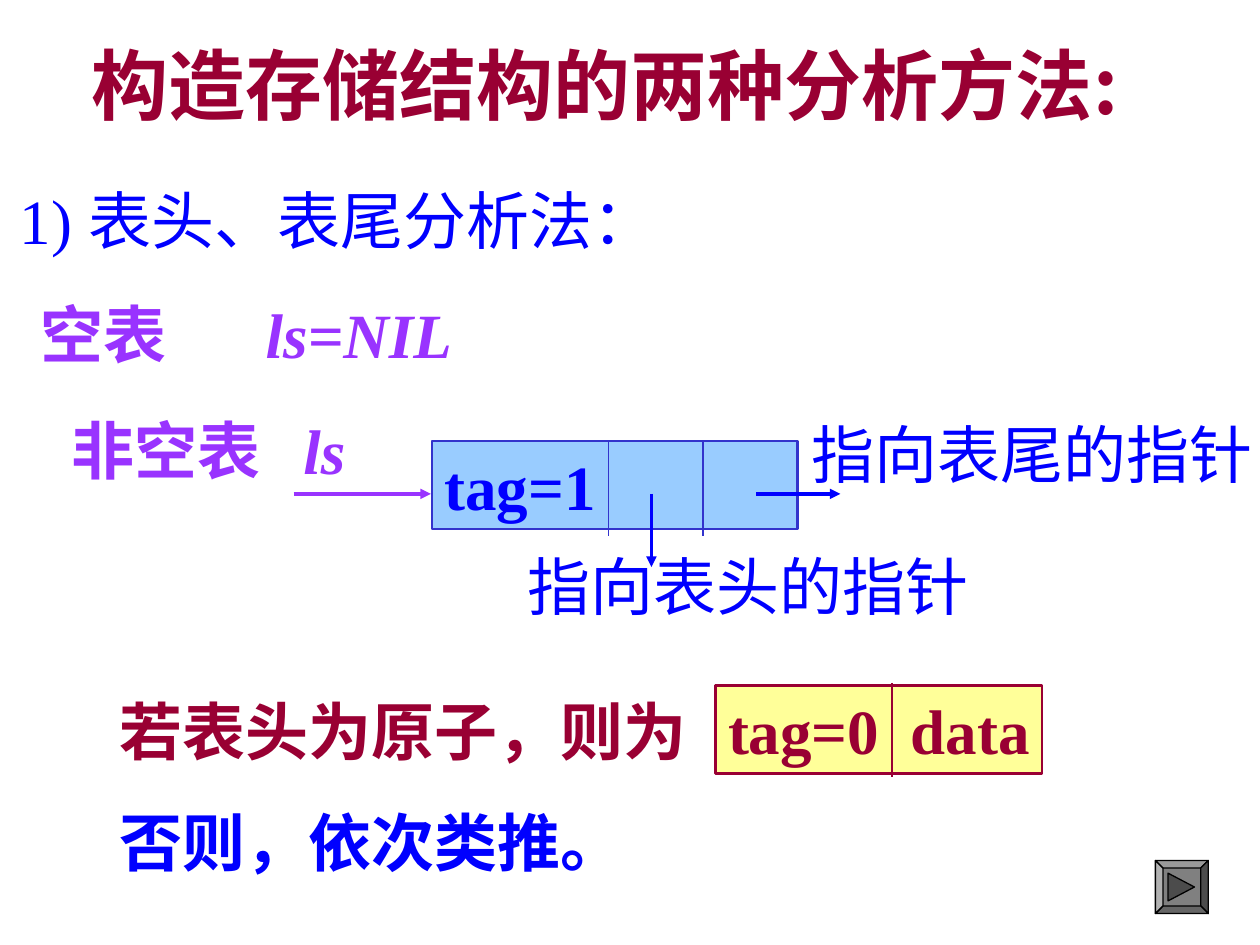
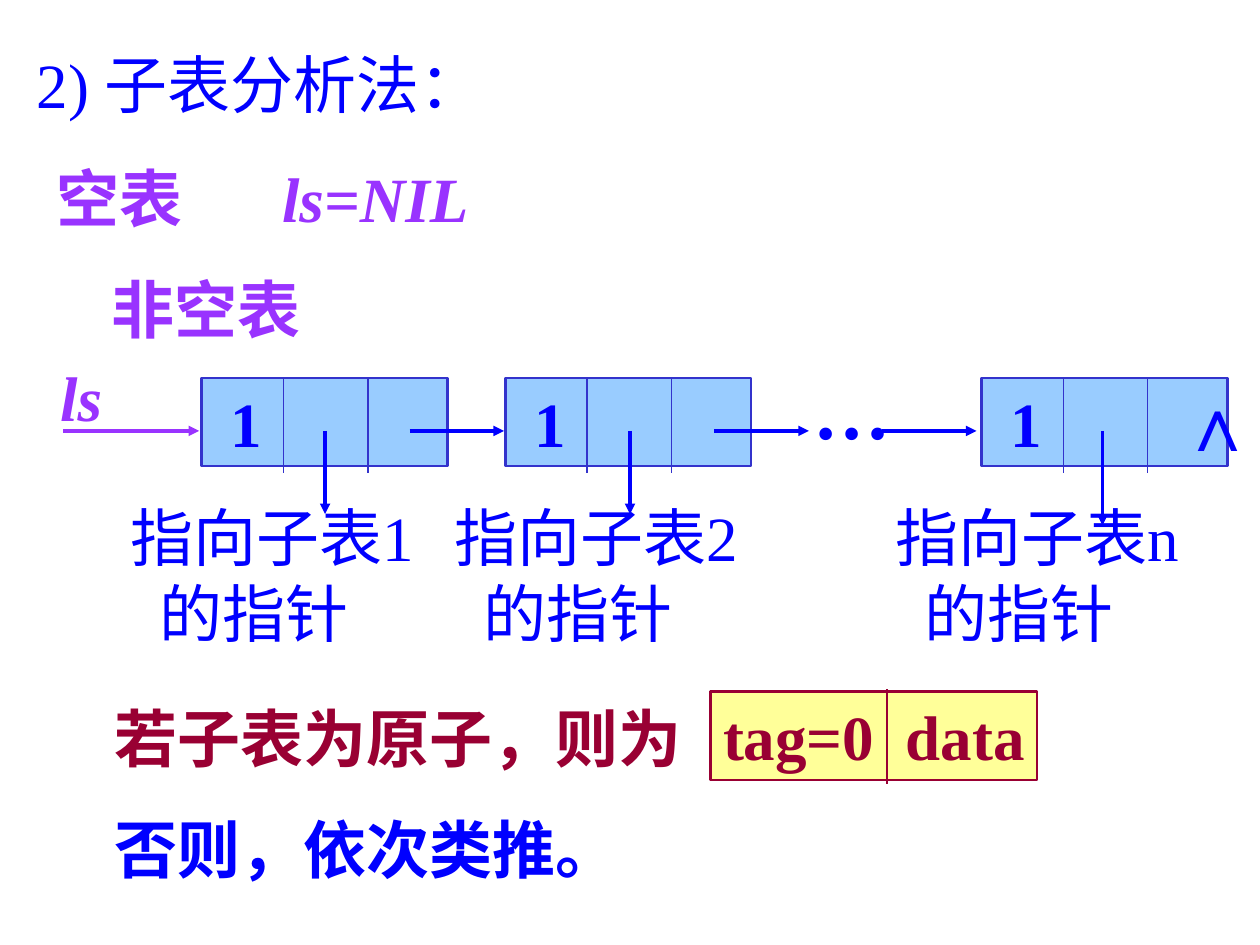
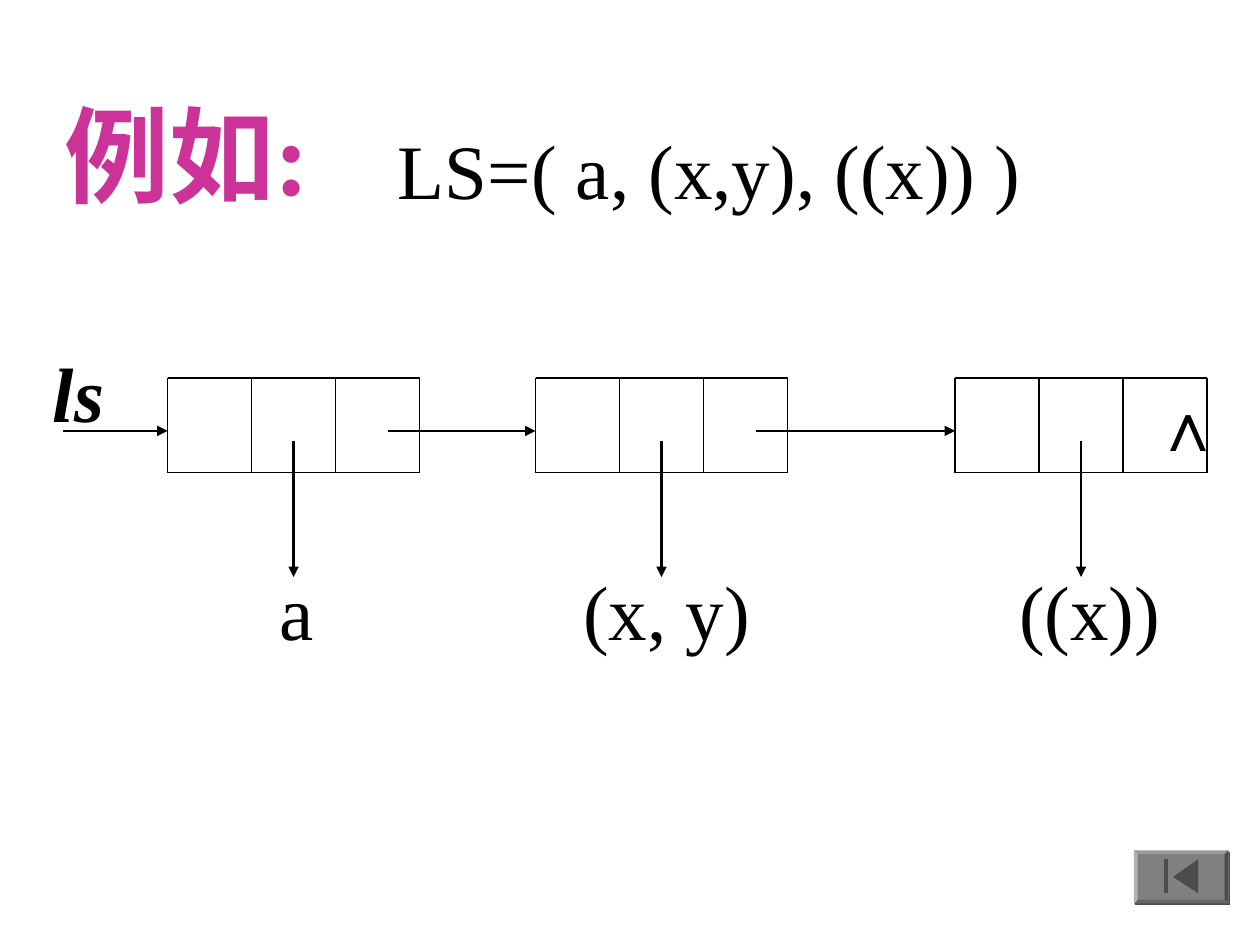
"""Builds three slides on the storage of generalized lists."""
from dataclasses import dataclass
from typing import Any

from pptx import Presentation
from pptx.dml.color import RGBColor
from pptx.enum.shapes import MSO_CONNECTOR as Link, MSO_SHAPE as Kind
from pptx.enum.text import MSO_ANCHOR as Anchor, MSO_AUTO_SIZE as Fit, PP_ALIGN as Align
from pptx.oxml.xmlchemy import OxmlElement as Element
from pptx.util import Inches, Pt

TIMES, NOTO, ARIAL = "Times New Roman", "Noto Sans CJK SC", "Arial"
BLUE, PURPLE, RED, PINK, BLACK = "0000FF", "9933FF", "990033", "CC3399", "000000"
SKY, NAVY, YELLOW = "99CCFF", "3333CC", "FFFF99"
GREY, DARK = "808080", "4C4C4C"
FACETS = ("999999", DARK, "666666", "B2B2B2")

Points = list[tuple[float, float]]


@dataclass(frozen=True)
class Text:
    """Words with their style; slant is an italic run at the end."""
    words: str
    color: str = BLUE
    size: int = 36
    font: str = TIMES
    bold: bool = False
    slant: str = ""
    tabs: tuple[float, ...] = ()
    space: float = 1.0
    hang: float = 0


@dataclass(frozen=True)
class Label:
    """A text box and its place."""
    left: float
    top: float
    width: float
    height: float
    text: Text


@dataclass(frozen=True)
class Line:
    """A straight line, with an arrowhead on request."""
    x: float
    y: float
    to_x: float
    to_y: float
    color: str = BLUE
    width: float = 2
    arrow: bool = True


@dataclass(frozen=True)
class Node:
    """A filled box, cut by upright lines at the given offsets."""
    left: float
    top: float
    width: float
    text: Text
    fill: str
    edge: str
    cuts: tuple[float, ...]
    inset: float = 0.1
    lift: float = 0


def rgb(color: str) -> RGBColor:
    """Turn a hex string into a colour."""
    return RGBColor.from_string(color)


def style(run: Any, text: Text) -> None:
    """Format one run."""
    font = run.font
    font.size, font.bold, font.name = Pt(text.size), text.bold, text.font
    font.color.rgb = rgb(text.color)
    east = Element("a:ea")
    east.set("typeface", NOTO)
    font._element.append(east)


def write(frame: Any, text: Text) -> None:
    """Put styled text into a frame, from its top left corner."""
    frame.text = text.words
    frame.vertical_anchor = Anchor.TOP
    for index, para in enumerate(frame.paragraphs):
        para.alignment = Align.LEFT
        para.line_spacing = text.space
        props = para._p.get_or_add_pPr()
        if index and text.hang:
            props.set("marL", str(Inches(text.hang)))
        if text.tabs:
            stops = Element("a:tabLst")
            for place in text.tabs:
                stop = Element("a:tab")
                stop.set("pos", str(Inches(place)))
                stop.set("algn", "l")
                stops.append(stop)
            props.append(stops)
        if text.slant:
            extra = para.add_run()
            extra.text = text.slant
            extra.font.italic = True
        for run in para.runs:
            style(run, text)


def fill_box(shape: Any, text: Text) -> None:
    """Write into a box that does not wrap."""
    write(shape.text_frame, text)
    shape.text_frame.word_wrap = False
    shape.text_frame.auto_size = Fit.SHAPE_TO_FIT_TEXT


def add_label(slide: Any, label: Label) -> None:
    """Draw a text box."""
    box = slide.shapes.add_textbox(Inches(label.left), Inches(label.top),
                                   Inches(label.width), Inches(label.height))
    fill_box(box, label.text)


def add_page(deck: Any, label: Label) -> Any:
    """Add a title-only slide and place its title."""
    slide = deck.slides.add_slide(deck.slide_layouts[5])
    title = slide.shapes.title
    title.left, title.top = Inches(label.left), Inches(label.top)
    title.width, title.height = Inches(label.width), Inches(label.height)
    fill_box(title, label.text)
    return slide


def add_line(slide: Any, line: Line) -> None:
    """Draw a line or an arrow."""
    link = slide.shapes.add_connector(Link.STRAIGHT, Inches(line.x), Inches(line.y),
                                      Inches(line.to_x), Inches(line.to_y))
    link.line.color.rgb = rgb(line.color)
    link.line.width = Pt(line.width)
    if line.arrow:
        tail = Element("a:tailEnd")
        tail.set("type", "triangle")
        link.line._get_or_add_ln().append(tail)
    link._element.spPr.append(Element("a:effectLst"))


def add_node(slide: Any, node: Node) -> None:
    """Draw a box with its cuts."""
    box = slide.shapes.add_shape(Kind.RECTANGLE, Inches(node.left), Inches(node.top),
                                 Inches(node.width), Inches(0.7))
    box.shadow.inherit = False
    box.fill.solid()
    box.fill.fore_color.rgb = rgb(node.fill)
    box.line.color.rgb = rgb(node.edge)
    box.line.width = Pt(1.5)
    frame = box.text_frame
    write(frame, node.text)
    frame.word_wrap = True
    frame.margin_left, frame.margin_right = Inches(node.inset), 0
    top = node.top - node.lift
    for cut in node.cuts:
        x = node.left + cut
        add_line(slide, Line(x, top, x, top + 0.75, node.edge, 0.75, False))


def add_grid(slide: Any, left: float, top: float) -> None:
    """Draw an open node of three cells."""
    width, height, cells = 2, 0.75, 3
    for step in range(cells + 1):
        x = left + width * step / cells
        add_line(slide, Line(x, top, x, top + height, BLACK, 0.75, False))
    for y in (top, top + height):
        add_line(slide, Line(left, y, left + width, y, BLACK, 0.75, False))


def add_patch(slide: Any, points: Points, fill: str, edge: str) -> None:
    """Draw a closed outline."""
    spots = [(Inches(x), Inches(y)) for x, y in points]
    maker = slide.shapes.build_freeform(*spots[0])
    maker.add_line_segments(spots[1:], close=True)
    patch = maker.convert_to_shape()
    patch.shadow.inherit = False
    patch.fill.solid()
    patch.fill.fore_color.rgb = rgb(fill)
    if edge:
        patch.line.color.rgb = rgb(edge)
        patch.line.width = Pt(0.75)
    else:
        patch.line.fill.background()


def corners(left: float, top: float, width: float, height: float) -> Points:
    """List the corners of a box, clockwise."""
    right, base = left + width, top + height
    return [(left, top), (right, top), (right, base), (left, base)]


def add_button(slide: Any, left: float, top: float, width: float, bevel: float,
               marks: list[Points], edge: str = "") -> None:
    """Draw a bevelled button with its marks."""
    height = 0.42
    outer = corners(left, top, width, height)
    inner = corners(left + bevel, top + bevel, width - 2 * bevel, height - 2 * bevel)
    if not edge:
        add_patch(slide, [(x + 0.01, y + 0.01) for x, y in outer], DARK, edge)
    add_patch(slide, outer, GREY, edge)
    for side, fill in enumerate(FACETS):
        after = (side + 1) % 4
        add_patch(slide, [outer[side], outer[after], inner[after], inner[side]], fill, edge)
    for mark in marks:
        add_patch(slide, mark, DARK, edge)


def add_empty(slide: Any, left: float, top: float) -> None:
    """Draw the line about the empty list."""
    text = Text("空表\t", PURPLE, bold=True, slant="ls=NIL", tabs=(1.79,))
    add_label(slide, Label(left, top, 4.3, 0.7, text))


def add_atom(slide: Any, left: float, top: float, words: str) -> None:
    """Draw the closing lines about atoms, with the atom node."""
    add_label(slide, Label(left, top, 4.7, 0.76, Text(words, RED, font=NOTO, bold=True, space=1.1)))
    text = Text("tag=0\tdata", RED, bold=True, tabs=(1.45,))
    add_node(slide, Node(left + 4.83, top + 0.05, 2.59, text, YELLOW, RED, (1.4,), lift=0.02))
    close = Text("否则，依次类推。", font=NOTO, bold=True)
    add_label(slide, Label(left, top + 0.94, 4.2, 0.7, close))


def head_page(deck: Any) -> None:
    """Build the slide on head and tail."""
    title = Text("构造存储结构的两种分析方法:", RED, 44, NOTO, True)
    slide = add_page(deck, Label(0.63, 0.25, 8.6, 0.84, title))
    add_label(slide, Label(0.06, 1.33, 5.36, 0.76, Text("1) 表头、表尾分析法：", space=1.1)))
    add_line(slide, Line(2.33, 3.92, 3.42, 3.92, PURPLE))
    add_empty(slide, 0.22, 2.3)
    text = Text("非空表\t", PURPLE, bold=True, slant="ls", tabs=(1.84,))
    add_label(slide, Label(0.47, 3.22, 2.65, 0.7, text))
    add_node(slide, Node(3.43, 3.5, 2.9, Text("tag=1", bold=True), SKY, NAVY, (1.4, 2.15)))
    add_line(slide, Line(5.17, 3.92, 5.17, 4.5))
    add_line(slide, Line(6, 3.92, 6.67, 3.92))
    for left, top, words in ((4.09, 4.3, "指向表头的指针"), (6.34, 3.25, "指向表尾的指针")):
        add_label(slide, Label(left, top, 3.7, 0.7, Text(words)))
    add_atom(slide, 0.85, 5.39, "若表头为原子，则为")
    play = [(9.27, 6.93), (9.48, 7.04), (9.27, 7.15)]
    add_button(slide, 9.17, 6.83, 0.42, 0.06, [play], BLACK)


def sub_page(deck: Any) -> None:
    """Build the slide on sublists."""
    slide = add_page(deck, Label(0.19, 0.25, 3.86, 0.76, Text("2) 子表分析法：", space=1.1)))
    add_line(slide, Line(0.5, 3.42, 1.58, 3.42, PURPLE))
    add_empty(slide, 0.35, 1.22)
    add_label(slide, Label(0.79, 2.1, 1.7, 0.7, Text("非空表", PURPLE, bold=True)))
    nodes = ((1.6, 0.94, 2.58, 4.08, "1"), (4.01, 3.51, 5, 4.08, "2"), (7.79, 7.01, 8.75, 4.17, "n"))
    for left, start, x, end, name in nodes:
        add_node(slide, Node(left, 3, 1.95, Text("1", bold=True), SKY, NAVY, (0.65, 1.32), 0.23))
        add_line(slide, Line(x, 3.42, x, end))
        add_label(slide, Label(start, 3.91, 2.57, 1.3, Text(f"指向子表{name}\n的指针", hang=0.23)))
    add_atom(slide, 0.81, 5.44, "若子表为原子，则为")
    for x in (3.25, 5.67, 7):
        add_line(slide, Line(x, 3.42, x + 0.75, 3.42))
    add_label(slide, Label(0.38, 2.8, 0.7, 0.7, Text("", PURPLE, bold=True, slant="ls")))
    add_label(slide, Label(6.36, 2.83, 0.81, 0.84, Text("…", size=44, bold=True)))
    add_label(slide, Label(9.26, 2.92, 0.4, 0.84, Text("∧", size=44, font=ARIAL, bold=True)))


def case_page(deck: Any) -> None:
    """Build the slide with the example."""
    slide = add_page(deck, Label(0.41, 0.67, 2.34, 1.1, Text("例如:", PINK, 60, bold=True)))
    x = 0.5
    for left in (1.33, 4.25, 7.58):
        add_grid(slide, left, 3)
        add_line(slide, Line(x, 3.42, left, 3.42, BLACK, 1.5))
        add_line(slide, Line(left + 1, 3.5, left + 1, 4.58, BLACK, 1.5))
        x = left + 1.75
    add_label(slide, Label(9.06, 2.98, 0.38, 0.77, Text("∧", BLACK, 40, ARIAL)))
    parts = Text("\ta\t(x, y)\t((x))", BLACK, 44, tabs=(0.46, 2.87, 6.33))
    add_label(slide, Label(1.66, 4.42, 7.96, 0.84, parts))
    add_label(slide, Label(3.06, 0.92, 5.15, 0.84, Text("LS=( a, (x,y), ((x)) )", BLACK, 44)))
    add_label(slide, Label(0.32, 2.69, 0.7, 0.84, Text("", BLACK, 44, bold=True, slant="ls")))
    back = [(9.31, 6.96), (9.51, 6.82), (9.51, 7.09)]
    add_button(slide, 9, 6.75, 0.75, 0.03, [back, corners(9.24, 6.82, 0.03, 0.27)])


def main() -> None:
    """Build and save the deck."""
    deck = Presentation()
    deck.slide_width, deck.slide_height = Inches(10), Inches(7.5)
    for build in (head_page, sub_page, case_page):
        build(deck)
    deck.save("out.pptx")


if __name__ == "__main__":
    main()
